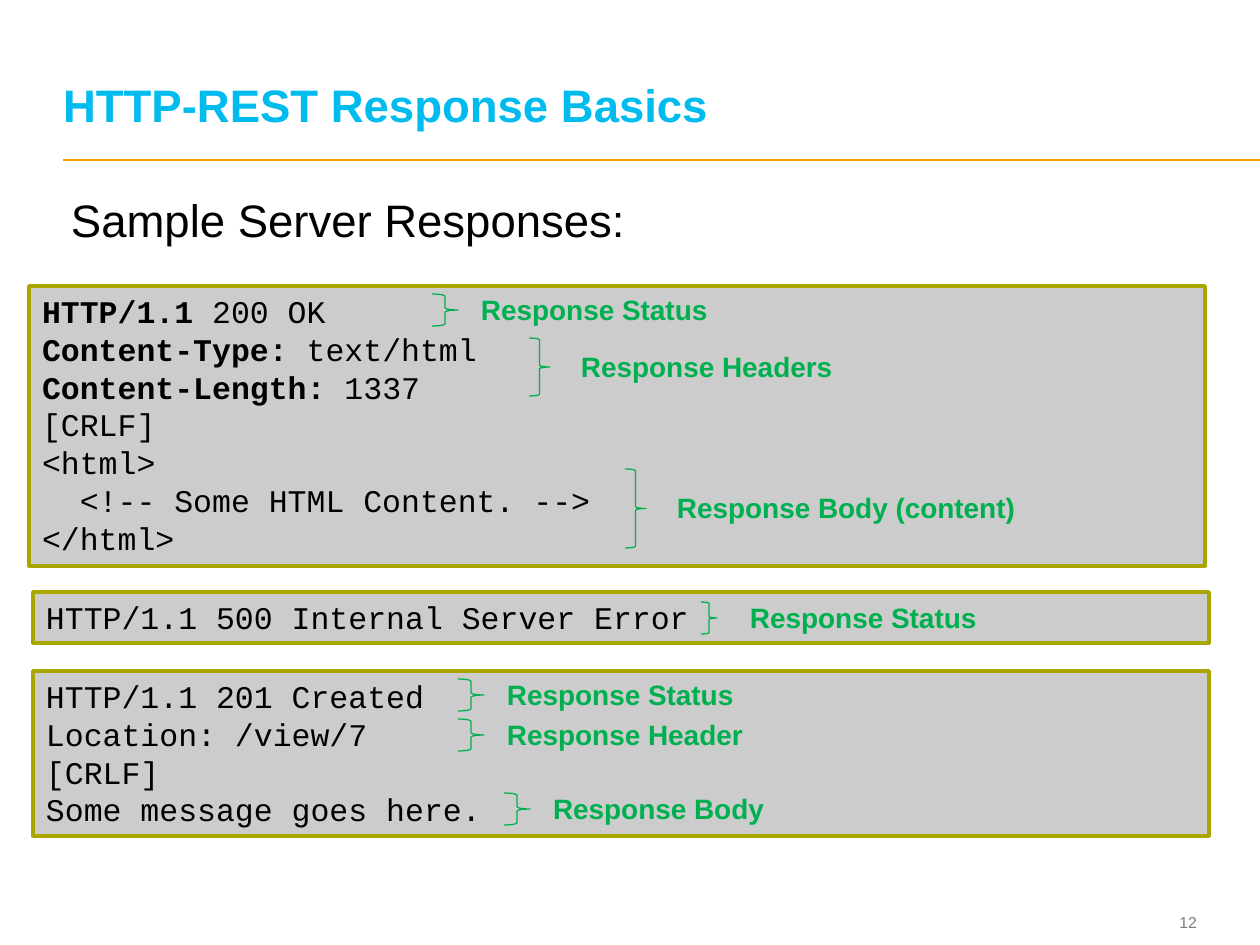
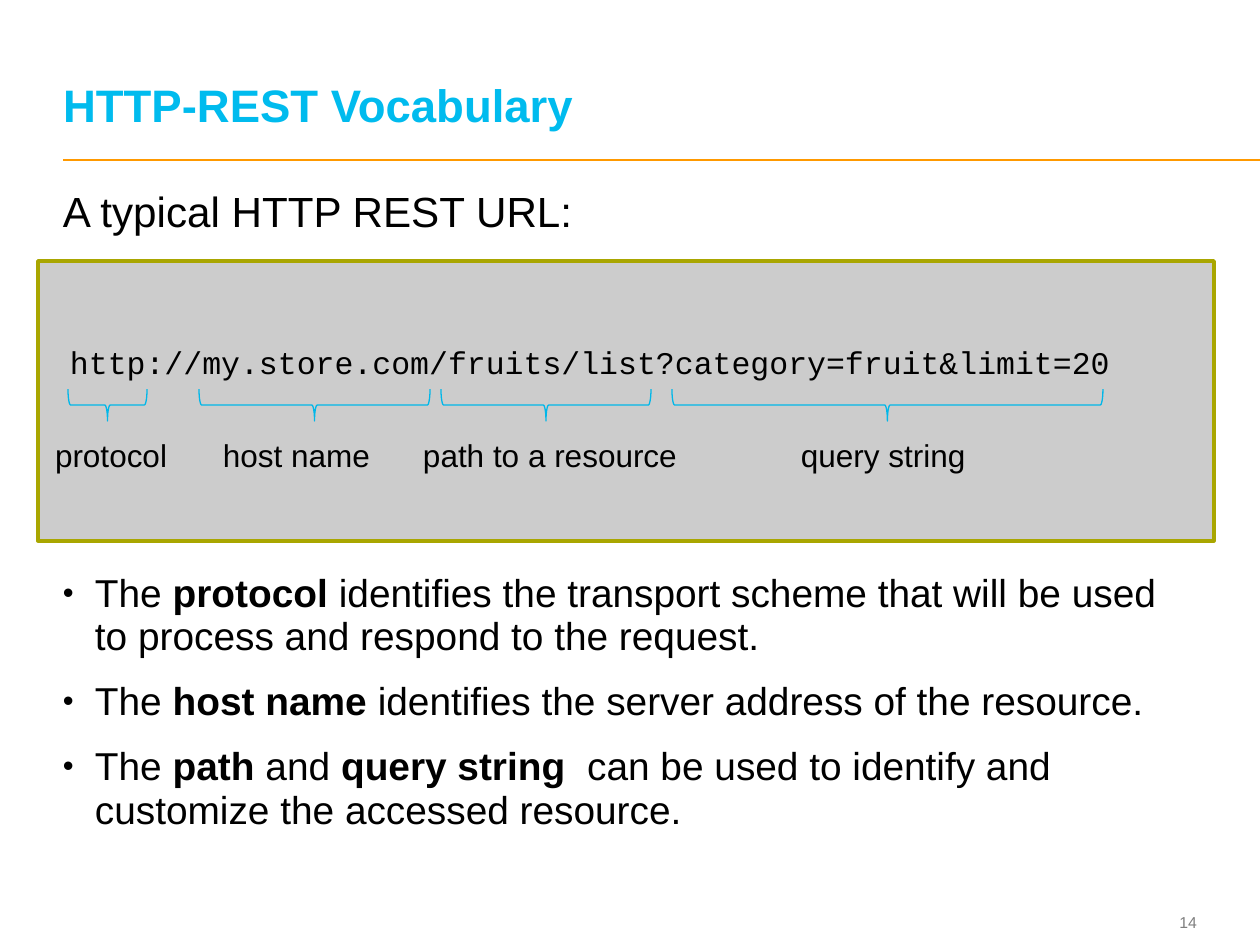
from pptx import Presentation
from pptx.dml.color import RGBColor
from pptx.enum.shapes import MSO_CONNECTOR, MSO_SHAPE as Shape
from pptx.enum.text import MSO_ANCHOR as Anchor, PP_ALIGN as Align
from pptx.oxml.ns import qn
from pptx.util import Emu, Pt
from lxml.etree import SubElement

SCALE = 914400 / 126
BLACK = RGBColor(0x00, 0x00, 0x00)
GRAY = RGBColor(0x7F, 0x7F, 0x7F)
PANEL_GRAY = RGBColor(0xCC, 0xCC, 0xCC)
OLIVE = RGBColor(0xA9, 0xA6, 0x00)
ORANGE = RGBColor(0xFF, 0x99, 0x00)
TITLE_BLUE = RGBColor(0x00, 0xBB, 0xEE)
BRACE_BLUE = RGBColor(0x00, 0xB7, 0xE9)
GREEN = RGBColor(0x00, 0xB0, 0x50)
SANS, MONO = "Arial", "Courier New"
INSETS = (13, 6, 13, 6)
NO_INSETS = (0, 0, 0, 0)
LABEL_HEIGHT = 47
BRACE_HEIGHT = 32

RESPONSES = [
    (29, 286, 280, ["**HTTP/1.1** 200 OK", "**Content-Type:** text/html",
                    "**Content-Length:** 1337", "[CRLF]", "<html>",
                    "  <!-- Some HTML Content. -->", "</html>"]),
    (33, 592, 51, ["HTTP/1.1 500 Internal Server Error"]),
    (33, 671, 165, ["HTTP/1.1 201 Created", "Location: /view/7", "[CRLF]",
                    "Some message goes here."]),
]
RESPONSE_PARTS = [
    (432, 294, 26, 32, 10, "Response Status"),
    (529, 338, 21, 58, 18, "Response Headers"),
    (625, 469, 21, 79, 18, "Response Body (content)"),
    (701, 602, 16, 32, 20, "Response Status"),
    (458, 679, 26, 32, 10, "Response Status"),
    (458, 719, 26, 32, 10, "Response Header"),
    (504, 793, 26, 32, 10, "Response Body"),
]
URL = "http://my.store.com/fruits/list?category=fruit&limit=20"
URL_PARTS = [
    (68, 79, 42, 142, "protocol"),
    (199, 231, 210, 179, "host name"),
    (441, 210, 410, 286, "path to a resource"),
    (672, 431, 788, 199, "query string"),
]
DEFINITIONS = [
    "The **protocol** identifies the transport scheme that will be used "
    "to process and respond to the request.",
    "The **host name **identifies the server address of the resource.",
    "The **path** and **query string ** can be used to identify and "
    "customize the accessed resource.",
]


def px(*lengths):
    return [Emu(round(length * SCALE)) for length in lengths]


def add_bullet(para, indent):
    properties = para._p.get_or_add_pPr()
    properties.set("marL", str(px(indent)[0]))
    properties.set("indent", str(px(-indent)[0]))
    color = SubElement(properties, qn("a:buClr"))
    SubElement(color, qn("a:srgbClr"), val=str(BLACK))
    SubElement(properties, qn("a:buSzPct"), val="80000")
    SubElement(properties, qn("a:buFont"), typeface=SANS)
    SubElement(properties, qn("a:buChar"), char="•")


def write_text(box, lines, size=18, color=BLACK, font=SANS, bold=False,
               align=Align.LEFT, anchor=Anchor.TOP, insets=INSETS, wrap=True,
               spacing=None, gap=0, bullet_indent=0):
    frame = box.text_frame
    frame.word_wrap = wrap
    frame.vertical_anchor = anchor
    (frame.margin_left, frame.margin_top,
     frame.margin_right, frame.margin_bottom) = px(*insets)
    for index, line in enumerate(lines):
        para = frame.add_paragraph() if index else frame.paragraphs[0]
        if bullet_indent:
            add_bullet(para, bullet_indent)
        para.alignment = align
        para.line_spacing = spacing
        if index and gap:
            para.space_before = Pt(gap)
        for part, words in enumerate(line.split("**")):
            if not words:
                continue
            span = para.add_run()
            span.text = words
            span.font.name = font
            span.font.size = Pt(size)
            span.font.bold = bold or part % 2 == 1
            span.font.color.rgb = color


def add_text(page, left, top, width, height, lines, **style):
    box = page.shapes.add_textbox(*px(left, top, width, height))
    write_text(box, lines, **style)


def add_code_panel(page, left, top, height, lines, insets=INSETS):
    panel = page.shapes.add_shape(Shape.RECTANGLE, *px(left, top, 1176, height))
    panel.shadow.inherit = False
    panel.fill.solid()
    panel.fill.fore_color.rgb = PANEL_GRAY
    panel.line.color.rgb = OLIVE
    panel.line.width = Pt(2)
    write_text(panel, lines, font=MONO, insets=insets)


def add_brace(page, kind, left, top, width, height, color):
    brace = page.shapes.add_shape(kind, *px(left, top, width, height))
    brace.shadow.inherit = False
    brace.fill.background()
    brace.line.color.rgb = color
    brace.line.width = Pt(0.75)
    return brace


def add_brace_below(page, left, top, width):
    middle_x, middle_y = left + width / 2, top + BRACE_HEIGHT / 2
    brace = add_brace(page, Shape.LEFT_BRACE, middle_x - BRACE_HEIGHT / 2,
                      middle_y - width / 2, BRACE_HEIGHT, width, BRACE_BLUE)
    brace.rotation = 270


def add_page(deck, title, number):
    page = deck.slides.add_slide(deck.slide_layouts[6])
    rule = page.shapes.add_connector(MSO_CONNECTOR.STRAIGHT,
                                     *px(63, 160, 1260, 160))
    rule.line.color.rgb = ORANGE
    rule.line.width = Pt(1)
    SubElement(rule._element.spPr, qn("a:effectLst"))
    add_text(page, 63, 24, 1130, 108, [title], size=26, color=TITLE_BLUE,
             bold=True, anchor=Anchor.BOTTOM, insets=NO_INSETS, spacing=Pt(26))
    add_text(page, 1123, 905, 74, 34, [number], size=9, color=GRAY,
             align=Align.RIGHT, anchor=Anchor.MIDDLE, insets=NO_INSETS)
    return page


def build_responses(deck):
    page = add_page(deck, "HTTP-REST Response Basics", "12")
    add_text(page, 71, 192, 1126, 60, ["Sample Server Responses:"], size=26,
             insets=NO_INSETS)
    for left, top, height, lines in RESPONSES:
        add_code_panel(page, left, top, height, lines)
    for left, top, width, height, gap, name in RESPONSE_PARTS:
        add_brace(page, Shape.RIGHT_BRACE, left, top, width, height, GREEN)
        add_text(page, left + width + gap, top + (height - LABEL_HEIGHT) / 2,
                 400, LABEL_HEIGHT, [name], size=16, color=GREEN, bold=True)


def build_vocabulary(deck):
    page = add_page(deck, "HTTP-REST Vocabulary", "14")
    add_text(page, 63, 190, 1134, 50, ["A typical HTTP REST URL:"], size=24.1,
             insets=NO_INSETS, spacing=0.94)
    add_code_panel(page, 38, 261, 280, [URL], insets=(32, 82, 13, 6))
    for left, width, label_left, label_width, name in URL_PARTS:
        add_brace_below(page, left, 389, width)
        add_text(page, label_left, 430, label_width, 50, [name], wrap=False)
    add_text(page, 63, 572, 1134, 284, DEFINITIONS, size=22.2,
             insets=NO_INSETS, spacing=0.94, gap=12, bullet_indent=32)


def main():
    deck = Presentation()
    deck.slide_width, deck.slide_height = px(1260, 945)
    build_responses(deck)
    build_vocabulary(deck)
    deck.save("out.pptx")


if __name__ == "__main__":
    main()
